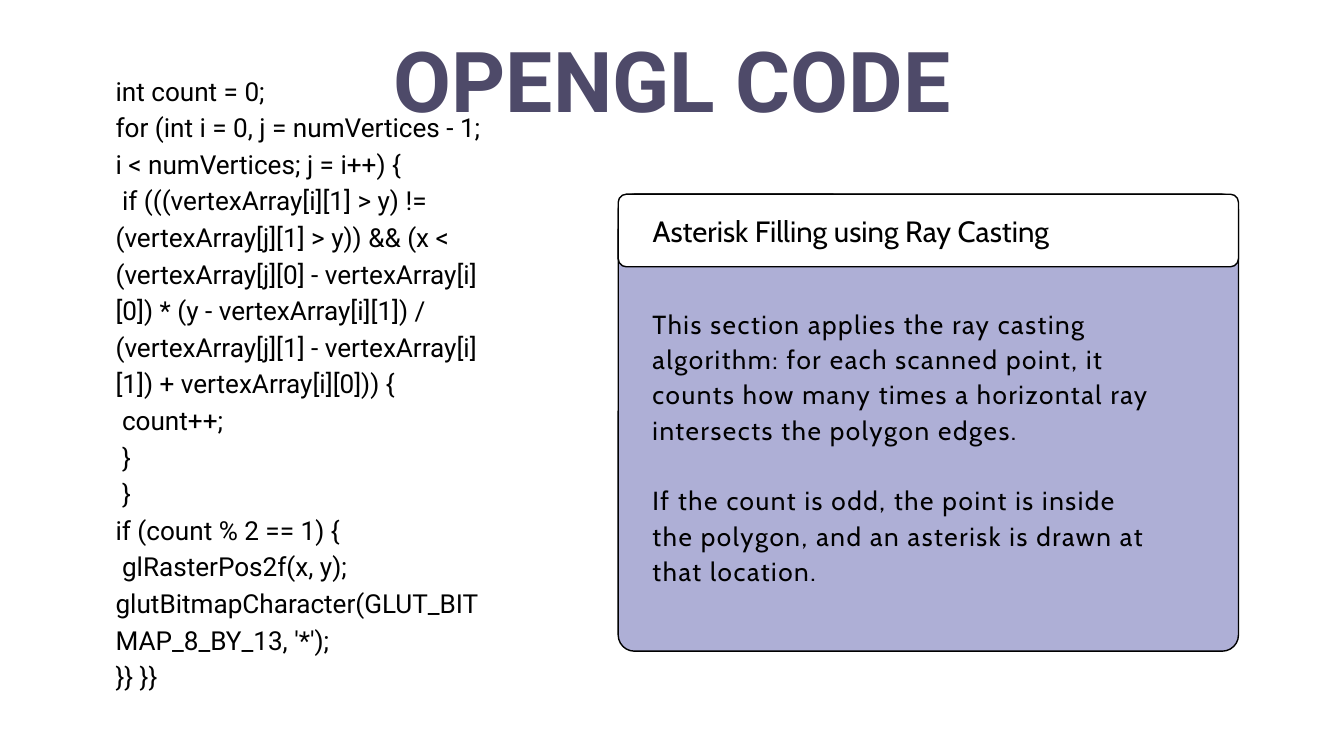
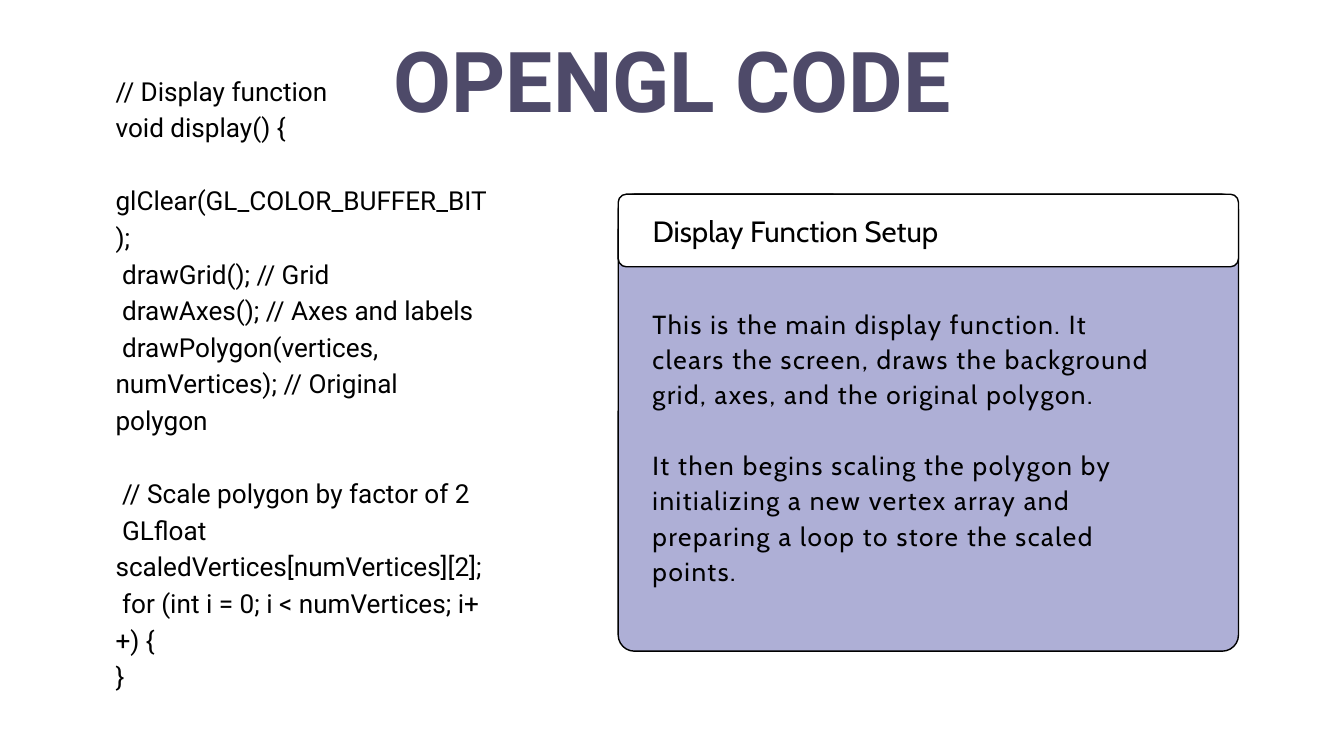
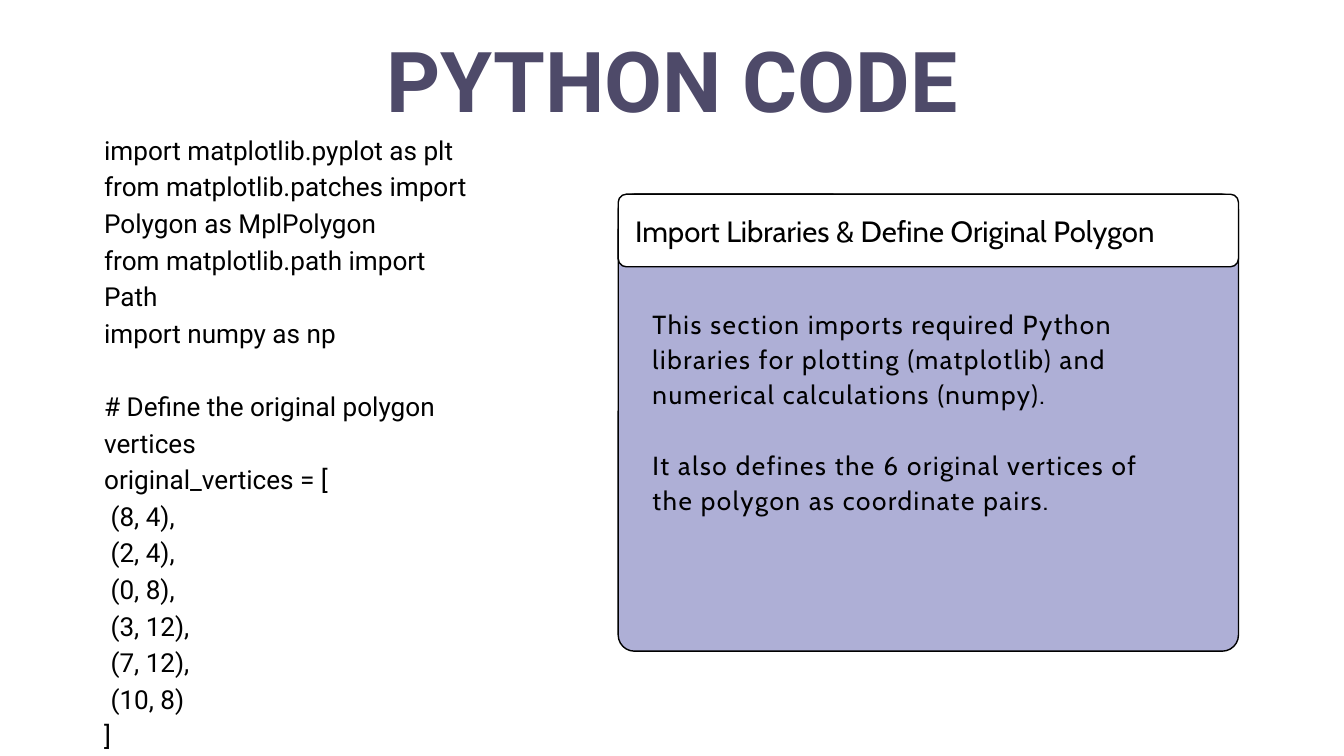
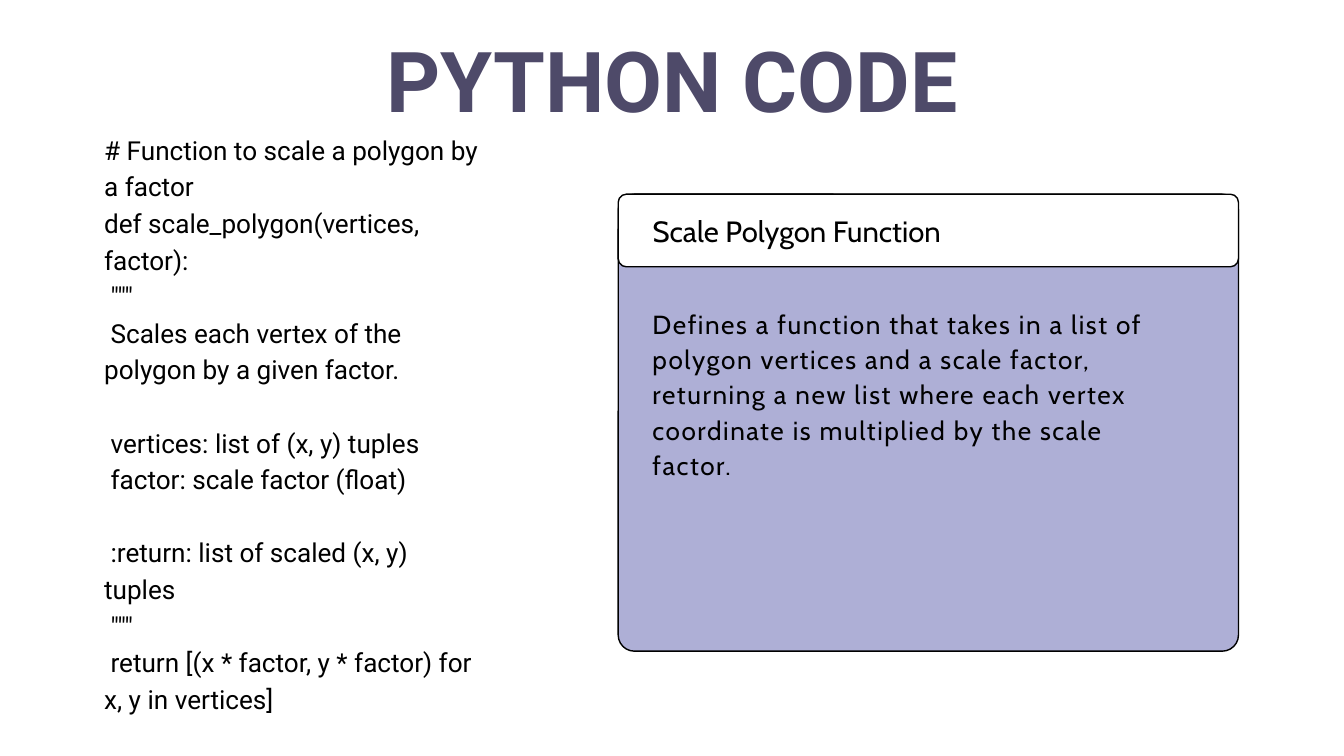
from pptx import Presentation
from pptx import util as u
from pptx.dml import color
from pptx.enum import shapes, text

WIDE, HIGH = 20, 11.25
INK, PLUM, LILAC, WHITE = "000000", "4E4A69", "AEAFD6", "FFFFFF"

HEAD = {"name": "Roboto", "size": 90, "bold": True, "hue": PLUM,
        "lead": 126, "align": text.PP_ALIGN.CENTER}
CODE = {"name": "Roboto", "size": 28, "lead": 39.2}
LABEL = {"name": "Cabin", "size": 31.4, "lead": 36.7}
NOTE = {"name": "Cabin", "size": 28, "lead": 37.8, "track": 170}

HEAD_BOX = (4.85, 0.17, 10.31, 1.71)
CARD_BOX = (9.2, 2.89, 9.23, 6.8)
LOW_BOX = (1.72, 1.04, 5.59, 9.76)
TOP_BOX = (1.55, 1.92, 5.59, 9.76)

PAGES = [
    {
        "title": "OPENGL CODE",
        "box": LOW_BOX,
        "code": '''int count = 0;
for (int i = 0, j = numVertices - 1; i < numVertices; j = i++) {
 if (((vertexArray[i][1] > y) != (vertexArray[j][1] > y)) && (x < (vertexArray[j][0] - vertexArray[i][0]) * (y - vertexArray[i][1]) / (vertexArray[j][1] - vertexArray[i][1]) + vertexArray[i][0])) {
 count++;
 }
 }
if (count % 2 == 1) {
 glRasterPos2f(x, y); glutBitmapCharacter(GLUT_BITMAP_8_BY_13, '*');
}} }}''',
        "label": "Asterisk Filling using Ray Casting",
        "note": '''This section applies the ray casting algorithm: for each scanned point, it counts how many times a horizontal ray intersects the polygon edges.

If the count is odd, the point is inside the polygon, and an asterisk is drawn at that location.''',
    },
    {
        "title": "OPENGL CODE",
        "box": LOW_BOX,
        "code": '''// Display function
void display() {
 glClear(GL_COLOR_BUFFER_BIT);
 drawGrid(); // Grid
 drawAxes(); // Axes and labels
 drawPolygon(vertices, numVertices); // Original polygon

 // Scale polygon by factor of 2
 GLfloat scaledVertices[numVertices][2];
 for (int i = 0; i < numVertices; i++) {
}''',
        "label": "Display Function Setup",
        "note": '''This is the main display function. It clears the screen, draws the background grid, axes, and the original polygon.

It then begins scaling the polygon by initializing a new vertex array and preparing a loop to store the scaled points.''',
    },
    {
        "title": "PYTHON CODE",
        "box": TOP_BOX,
        "code": '''import matplotlib.pyplot as plt
from matplotlib.patches import Polygon as MplPolygon
from matplotlib.path import Path
import numpy as np

# Define the original polygon vertices
original_vertices = [
 (8, 4),
 (2, 4),
 (0, 8),
 (3, 12),
 (7, 12),
 (10, 8)
]''',
        "label": "Import Libraries & Define Original Polygon",
        "inset": (0.25, 0.29, 8.72),
        "note": '''This section imports required Python libraries for plotting (matplotlib) and numerical calculations (numpy).

It also defines the 6 original vertices of the polygon as coordinate pairs.''',
    },
    {
        "title": "PYTHON CODE",
        "box": TOP_BOX,
        "code": '''# Function to scale a polygon by a factor
def scale_polygon(vertices, factor):
 """
 Scales each vertex of the polygon by a given factor.

 vertices: list of (x, y) tuples
 factor: scale factor (float)

 :return: list of scaled (x, y) tuples
 """
 return [(x * factor, y * factor) for x, y in vertices]''',
        "label": "Scale Polygon Function",
        "note": "Defines a function that takes in a list of polygon vertices and a scale factor, returning a new list where each vertex coordinate is multiplied by the scale factor.",
    },
]


def rgb(code):
    return color.RGBColor.from_string(code)


def inches(box):
    return [u.Inches(side) for side in box]


def assign(target, values):
    for key, value in values.items():
        setattr(target, key, value)


def write(slide, box, words, style):
    frame = slide.shapes.add_textbox(*inches(box)).text_frame
    assign(frame, {"margin_left": 0, "margin_top": 0, "margin_right": 0,
                   "margin_bottom": 0, "word_wrap": True,
                   "auto_size": text.MSO_AUTO_SIZE.SHAPE_TO_FIT_TEXT})
    lead = u.Pt(style["lead"])
    fresh, gap = True, 0
    for line in words.split("\n"):
        if not line:
            gap = lead
            continue
        para = frame.paragraphs[0] if fresh else frame.add_paragraph()
        assign(para, {"line_spacing": lead, "space_before": gap,
                      "alignment": style.get("align", text.PP_ALIGN.LEFT)})
        fresh, gap = False, 0
        run = para.add_run()
        run.text = line
        assign(run.font, {"name": style["name"], "size": u.Pt(style["size"]),
                          "bold": style.get("bold", False)})
        run.font.color.rgb = rgb(style.get("hue", INK))
        if "track" in style:
            run.font._element.set("spc", str(style["track"]))


def panel(slide, box, fill, radius):
    shape = slide.shapes.add_shape(
        shapes.MSO_SHAPE.ROUNDED_RECTANGLE, *inches(box))
    shape.adjustments[0] = radius / box[3]
    shape.shadow.inherit = False
    shape.fill.solid()
    shape.fill.fore_color.rgb = rgb(fill)
    shape.line.color.rgb = rgb(INK)
    shape.line.width = u.Pt(1.5)


def card(slide, box, label, note, inset=(0.51, 0.3, 8.31)):
    left, top, width, height = box
    panel(slide, box, LILAC, 0.24)
    panel(slide, (left, top, width, 1.08), WHITE, 0.12)
    right, down, span = inset
    write(slide, (left + right, top + down, span, 0.51), label, LABEL)
    write(slide, (left + 0.51, top + 1.64, 7.56, 4.15), note, NOTE)


def build(deck, page):
    slide = deck.slides.add_slide(deck.slide_layouts[6])
    write(slide, page["box"], page["code"], CODE)
    extra = {key: page[key] for key in ("inset",) if key in page}
    card(slide, CARD_BOX, page["label"], page["note"], **extra)
    write(slide, HEAD_BOX, page["title"], HEAD)


def main():
    deck = Presentation()
    assign(deck, {"slide_width": u.Inches(WIDE),
                  "slide_height": u.Inches(HIGH)})
    for page in PAGES:
        build(deck, page)
    deck.save("out.pptx")


if __name__ == "__main__":
    main()
